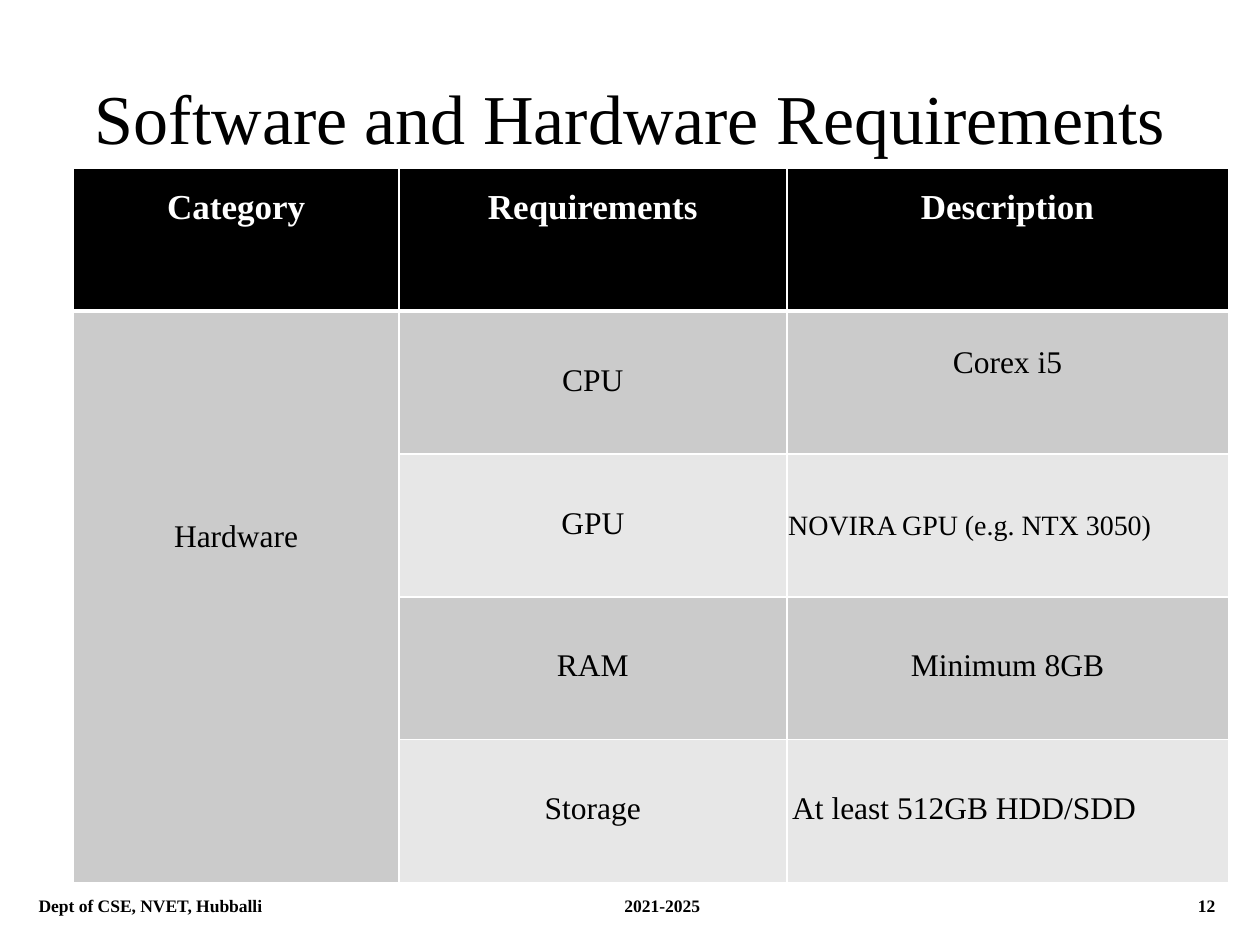
"""Build the software and hardware requirements slide."""
import pptx
import pptx.dml.color
import pptx.enum.text
import pptx.oxml
import pptx.oxml.ns
import pptx.util
from pptx.util import Cm

ALIGN = pptx.enum.text.PP_ALIGN
ANCHOR = pptx.enum.text.MSO_ANCHOR
FONT = "Times New Roman"
COLORS = {"ink": "000000", "paper": "FFFFFF", "dark": "CBCBCB", "light": "E7E7E7"}

TITLE = "Software and Hardware Requirements"
HEADINGS = ["Category", "Requirements", "Description"]
CATEGORY = "Hardware"
REQUIREMENTS = [
    ("CPU", "Corex i5", {"drop": 0.7}),
    ("GPU", "NOVIRA GPU (e.g. NTX 3050)",
     {"size": 16, "align": ALIGN.JUSTIFY, "anchor": ANCHOR.MIDDLE, "drop": 0.03, "indent": 0.03}),
    ("RAM", "Minimum 8GB", {}),
    ("Storage", "At least 512GB HDD/SDD", {"align": ALIGN.LEFT, "indent": 0.11}),
]
FOOTER = ["Dept of CSE, NVET, Hubballi", "2021-2025", "12"]
FOOTER_STOPS = [(12.57, "ctr"), (23.72, "r")]

COLUMN_WIDTHS = [6.56, 7.82, 8.9]
ROW_HEIGHT = 2.88


def rgb(name):
    return pptx.dml.color.RGBColor.from_string(COLORS[name])


def write(paragraph, text, size, color="ink", bold=False, align=ALIGN.CENTER):
    paragraph.alignment = align
    run = paragraph.add_run()
    run.text = text
    run.font.name = FONT
    run.font.size = pptx.util.Pt(size)
    run.font.bold = bold
    run.font.color.rgb = rgb(color)


def rule_cell(cell, top, bottom):
    properties = cell._tc.get_or_add_tcPr()
    for position, (side, points) in enumerate([("L", 1), ("R", 1), ("T", top), ("B", bottom)]):
        properties.insert(position, pptx.oxml.parse_xml(
            f'<a:ln{side} {pptx.oxml.ns.nsdecls("a")} w="{pptx.util.Pt(points)}">'
            f'<a:solidFill><a:srgbClr val="{COLORS["paper"]}"/></a:solidFill></a:ln{side}>'))


def fill_cell(cell, text, fill, drop=1.05, indent=0, anchor=ANCHOR.TOP, size=18, **style):
    cell.fill.solid()
    cell.fill.fore_color.rgb = rgb(fill)
    cell.margin_left = cell.margin_right = Cm(indent)
    cell.margin_top, cell.margin_bottom = Cm(drop), Cm(0)
    cell.vertical_anchor = anchor
    write(cell.text_frame.paragraphs[0], text, size, **style)


def add_text_box(slide, left, top, width, height):
    frame = slide.shapes.add_textbox(Cm(left), Cm(top), Cm(width), Cm(height)).text_frame
    frame.word_wrap = True
    return frame


def add_requirements(slide):
    row_count = len(REQUIREMENTS) + 1
    table = slide.shapes.add_table(
        row_count, len(HEADINGS), Cm(1.48), Cm(3.39),
        Cm(sum(COLUMN_WIDTHS)), Cm(ROW_HEIGHT * row_count)).table
    for column, width in zip(table.columns, COLUMN_WIDTHS):
        column.width = Cm(width)
    for row in table.rows:
        row.height = Cm(ROW_HEIGHT)

    for column, heading in enumerate(HEADINGS):
        fill_cell(table.cell(0, column), heading, "ink", drop=0.4,
                  size=20, color="paper", bold=True)
    table.cell(1, 0).merge(table.cell(row_count - 1, 0))
    fill_cell(table.cell(1, 0), CATEGORY, "dark", drop=4.2)
    for row, (requirement, description, style) in enumerate(REQUIREMENTS, start=1):
        band = "dark" if row % 2 else "light"
        fill_cell(table.cell(row, 1), requirement, band)
        fill_cell(table.cell(row, 2), description, band, **style)
    for row in range(row_count):
        for column in range(len(HEADINGS)):
            rule_cell(table.cell(row, column), 3 if row == 1 else 1, 3 if row == 0 else 1)


def add_footer(slide):
    footer = add_text_box(slide, 0.53, 17.91, 24.33, 0.69).paragraphs[0]
    write(footer, "\t".join(FOOTER), 10, bold=True, align=ALIGN.LEFT)
    stops = "".join(f'<a:tab pos="{Cm(position)}" algn="{align}"/>' for position, align in FOOTER_STOPS)
    footer._p.get_or_add_pPr().append(pptx.oxml.parse_xml(
        f'<a:tabLst {pptx.oxml.ns.nsdecls("a")}>{stops}</a:tabLst>'))


def main():
    deck = pptx.Presentation()
    deck.slide_width, deck.slide_height = Cm(25.4), Cm(19.05)
    slide = deck.slides.add_slide(deck.slide_layouts[6])
    slide.background.fill.solid()
    slide.background.fill.fore_color.rgb = rgb("paper")

    title = add_text_box(slide, 1.27, 0.76, 22.86, 3.18)
    title.vertical_anchor = ANCHOR.MIDDLE
    write(title.paragraphs[0], TITLE, 40)
    add_requirements(slide)
    add_footer(slide)
    deck.save("out.pptx")


if __name__ == "__main__":
    main()
